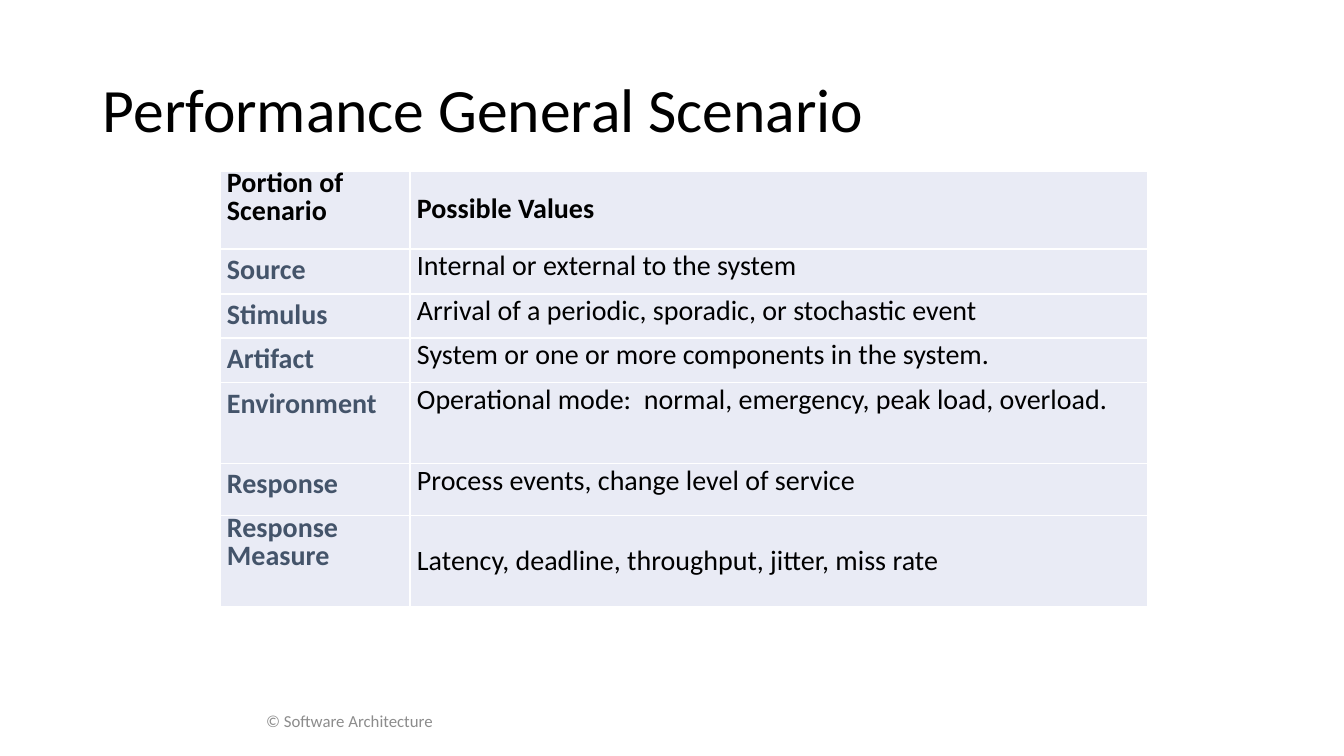
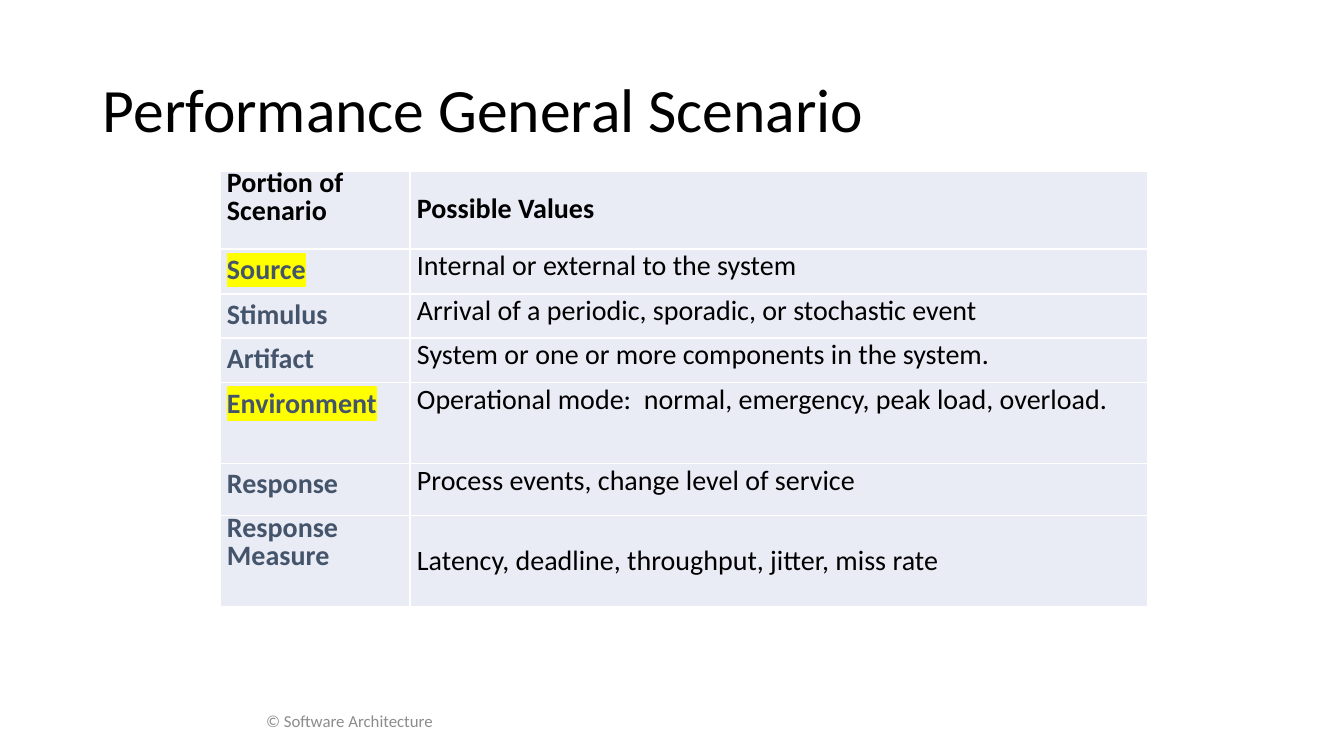
from lxml import etree
from pptx import Presentation
from pptx.dml.color import RGBColor
from pptx.enum.text import MSO_ANCHOR, PP_ALIGN
from pptx.oxml.ns import qn
from pptx.util import Pt

EMU_PER_PX = 914400 / 100.8
FONT = "Calibri"
BLACK = RGBColor(0x00, 0x00, 0x00)
WHITE = RGBColor(0xFF, 0xFF, 0xFF)
GRAY = RGBColor(0x8C, 0x8C, 0x8C)
SLATE = RGBColor(0x44, 0x54, 0x6A)
PALE_BLUE = RGBColor(0xE9, 0xEB, 0xF5)
YELLOW = RGBColor(0xFF, 0xFF, 0x00)
LEFT, CENTER = PP_ALIGN.LEFT, PP_ALIGN.CENTER
TOP, MIDDLE = MSO_ANCHOR.TOP, MSO_ANCHOR.MIDDLE

SLIDE_SIZE = (1344, 756)
TITLE_BOX = (93, 40, 1159, 146)
FOOTER_BOX = (0, 701, 699, 40)
TABLE_BOX = (220, 171, 928, 436)
LABEL_WIDTH = 190
CELL_INSET = 7
TIGHT, SINGLE, LOOSE = 0.8, 1.0, 1.1

TITLE = "Performance General Scenario"
FOOTER = "© Software Architecture"
HEADER = ("Portion of Scenario", "Possible Values")
SCENARIO = [
    ("Source", "Internal or external to the system"),
    ("Stimulus", "Arrival of a periodic, sporadic, or stochastic event"),
    ("Artifact", "System or one or more components in the system."),
    ("Environment", "Operational mode:  normal, emergency, peak load, overload."),
    ("Response", "Process events, change level of service"),
    ("Response Measure", "Latency, deadline, throughput, jitter, miss rate"),
]
ROW_HEIGHTS = (78, 45, 44, 45, 81, 52, 91)
HIGHLIGHTS = [(), ("Source", "Environment")]


def px(n):
    """Turn pixels into EMU."""
    return round(n * EMU_PER_PX)


def add_run(p, text, size, color, bold=False):
    """Add one formatted run to a paragraph."""
    r = p.add_run()
    r.text = text
    r.font.size = Pt(size)
    r.font.name = FONT
    r.font.bold = bold
    r.font.color.rgb = color
    return r


def highlight(r, color):
    """Mark a run with a background colour."""
    mark = etree.Element(qn("a:highlight"))
    etree.SubElement(mark, qn("a:srgbClr"), val=str(color))
    r.font.fill._xPr.find(qn("a:latin")).addprevious(mark)


def add_text(s, box, text, size, color, align=LEFT, spacing=SINGLE):
    """Place a wrapped, vertically centred line of text in a box."""
    tf = s.shapes.add_textbox(*map(px, box)).text_frame
    tf.word_wrap = True
    tf.vertical_anchor = MIDDLE
    p = tf.paragraphs[0]
    p.alignment = align
    p.line_spacing = spacing
    add_run(p, text, size, color)


def set_borders(cell, color, width):
    """Draw the four borders of a cell."""
    tc_pr = cell._tc.get_or_add_tcPr()
    for i, side in enumerate(("a:lnL", "a:lnR", "a:lnT", "a:lnB")):
        ln = etree.Element(qn(side), w=str(Pt(width)))
        fill = etree.SubElement(ln, qn("a:solidFill"))
        etree.SubElement(fill, qn("a:srgbClr"), val=str(color))
        tc_pr.insert(i, ln)


def fill_cell(cell, text, color, bold, spacing, anchor):
    """Style a table cell, write its text and return the run."""
    cell.fill.solid()
    cell.fill.fore_color.rgb = PALE_BLUE
    set_borders(cell, WHITE, 1)
    cell.margin_left = cell.margin_right = px(CELL_INSET)
    cell.margin_top = cell.margin_bottom = 0
    cell.vertical_anchor = anchor
    p = cell.text_frame.paragraphs[0]
    p.line_spacing = spacing
    p.space_before = p.space_after = Pt(4)
    return add_run(p, text, 20, color, bold)


def add_scenario_table(s, box, marked):
    """Place the scenario table in a box, highlighting the marked labels."""
    rows = [HEADER, *SCENARIO]
    table = s.shapes.add_table(len(rows), len(HEADER), *map(px, box)).table
    table.first_row = table.horz_banding = False
    for column, width in zip(table.columns, (LABEL_WIDTH, box[2] - LABEL_WIDTH)):
        column.width = px(width)
    last = len(rows) - 1
    for i, (label, value) in enumerate(rows):
        table.rows[i].height = px(ROW_HEIGHTS[i])
        header, outer = i == 0, i in (0, last)
        r = fill_cell(table.cell(i, 0), label, BLACK if header else SLATE,
                      True, TIGHT if outer else LOOSE, TOP)
        if label in marked:
            highlight(r, YELLOW)
        fill_cell(table.cell(i, 1), value, BLACK, header,
                  TIGHT if header else SINGLE, MIDDLE if outer else TOP)


def add_scenario_slide(prs, marked):
    """Add a slide with the shared title and footer and a scenario table."""
    s = prs.slides.add_slide(prs.slide_layouts[6])
    add_text(s, TITLE_BOX, TITLE, 44, BLACK, spacing=0.9)
    add_text(s, FOOTER_BOX, FOOTER, 12, GRAY, align=CENTER)
    add_scenario_table(s, TABLE_BOX, marked)


def main():
    """Build and save the presentation."""
    prs = Presentation()
    prs.slide_width, prs.slide_height = map(px, SLIDE_SIZE)
    for marked in HIGHLIGHTS:
        add_scenario_slide(prs, marked)
    prs.save("out.pptx")


main()
